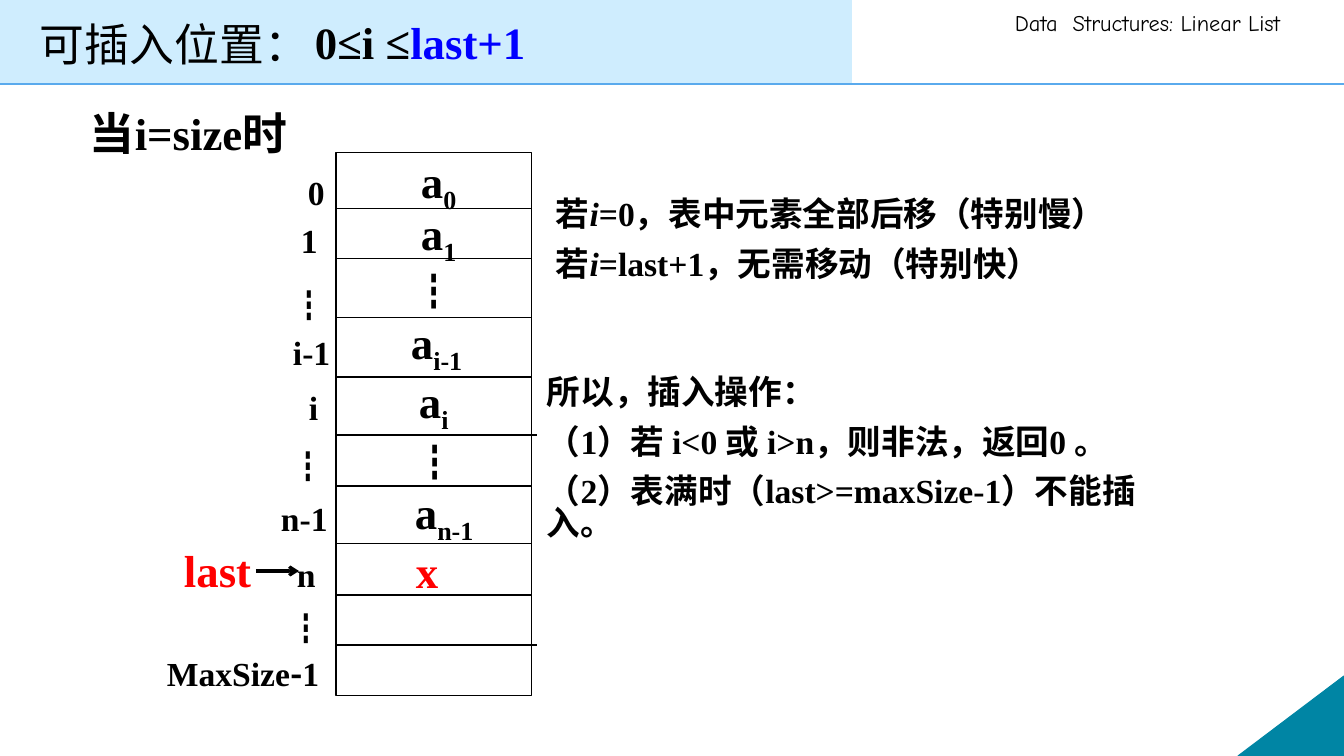
"""Slide on valid insert positions in a sequential linear list."""
from lxml import etree
from pptx import Presentation
from pptx.dml.color import RGBColor
from pptx.enum.shapes import MSO_CONNECTOR, MSO_SHAPE
from pptx.oxml.ns import qn
from pptx.util import Pt

LINE = MSO_CONNECTOR.STRAIGHT
RECT = MSO_SHAPE.RECTANGLE
TRIANGLE = MSO_SHAPE.RIGHT_TRIANGLE
PX = 9072
SERIF, CJK = "Times New Roman", "Noto Sans CJK SC"
COLORS = {"black": "000000", "red": "FF0000", "blue": "0000FF",
          "band": "CFEDFE", "rule": "5AAAED", "corner": "0085A4"}

prs = Presentation()
prs.slide_width, prs.slide_height = 1344 * PX, 756 * PX
s = prs.slides.add_slide(prs.slide_layouts[6])


def add_text(x, y, w, h, paragraphs, size, color="black", font=SERIF,
             bold=True, spacing=None, after=0):
    """Add a text box; each paragraph is a list of (text, style) runs."""
    tf = s.shapes.add_textbox(x * PX, y * PX, w * PX, h * PX).text_frame
    tf.word_wrap = True
    tf.margin_left = tf.margin_right = tf.margin_top = tf.margin_bottom = 0
    for i, runs in enumerate(paragraphs):
        p = tf.paragraphs[0] if i == 0 else tf.add_paragraph()
        p.space_after = Pt(after)
        if spacing:
            p.line_spacing = Pt(spacing)
        for text, style in runs:
            r = p.add_run()
            r.text = text
            r.font.size, r.font.bold = Pt(size), bold
            r.font.name = CJK if style == "cjk" else font
            r.font.color.rgb = RGBColor.from_string(
                COLORS["blue" if style == "blue" else color])
            if style == "italic":
                r.font.italic = True
            rPr = r.font._element
            if style == "sub":
                rPr.set("baseline", "-25000")
            etree.SubElement(rPr, qn("a:ea")).set("typeface", CJK)


def add_line(x1, y1, x2, y2, color="black", width=0.75):
    """Add a straight line and return its a:ln element."""
    c = s.shapes.add_connector(LINE, x1 * PX, y1 * PX, x2 * PX, y2 * PX)
    c.line.color.rgb = RGBColor.from_string(COLORS[color])
    c.line.width = Pt(width)
    etree.SubElement(c._element.spPr, qn("a:effectLst"))
    return c.line._get_or_add_ln()


add_line(0, 84, 1344, 84, "rule", 1)
for kind, x, y, w, h, fill, line in [
        (TRIANGLE, 1238, 676, 106, 80, "corner", "corner"),
        (RECT, -3, -7, 855, 90, "band", None),
        (RECT, 336, 153, 196, 543, None, "black")]:
    sp = s.shapes.add_shape(kind, x * PX, y * PX, w * PX, h * PX)
    sp.shadow.inherit = False
    if fill:
        sp.fill.solid()
        sp.fill.fore_color.rgb = RGBColor.from_string(COLORS[fill])
    else:
        sp.fill.background()
    if line:
        sp.line.color.rgb = RGBColor.from_string(COLORS[line])
        sp.line.width = Pt(0.75)
    else:
        sp.line.fill.background()
    if kind == TRIANGLE:
        sp._element.spPr.get_or_add_xfrm().set("flipH", "1")

for y in (209, 259, 318, 377, 435, 486, 544, 595, 645):
    add_line(336, y, 537 if y in (435, 645) else 532, y)

add_text(1015, 9, 320, 28, [[("Data  Structures: Linear List", "")]], 16,
         font="Comic Neue", bold=False)
add_text(40, 16, 275, 55, [[("可插入位置：", "")]], 32,
         font="Calibri", bold=False, spacing=39)
add_text(315, 15, 366, 52, [[("0≤i ≤", ""), ("last+1", "blue")]], 32)
add_text(90, 106, 200, 110, [[("当i=size时", "")]], 32, spacing=38.5)

for x, y, sub in [(421, 154, "0"), (421, 206, "1"), (411, 315, "i-1"),
                  (419, 374, "i"), (415, 485, "n-1")]:
    add_text(x, y, 100, 52, [[("a", ""), (sub, "sub")]], 32)
add_text(416, 544, 60, 52, [[("x", "")]], 32, "red")

for x, y, label in [(308, 172, "0"), (301, 220, "1"), (293, 332, "i-1"),
                    (309, 387, "i"), (281, 498, "n-1"), (297, 554, "n")]:
    add_text(x, y, 60, 39, [[(label, "")]], 24)
add_text(167, 654, 165, 39,
         [[("MaxSize", ""), ("-", "cjk"), ("1", "")]], 24, spacing=28)

for x, y, size in [(293, 292, 24), (292, 453, 24), (290, 615, 24),
                   (415, 275, 28), (416, 446, 28)]:
    add_text(x, y, 50, 40, [[("┇", "cjk")]], size, spacing=size)

add_text(184, 543, 80, 52, [[("last", "")]], 32, "red")
arrow = add_line(256, 571, 299, 571, width=2.25)
etree.SubElement(arrow, qn("a:tailEnd")).set("type", "arrow")

add_text(556, 201, 611, 90, [
    [("若", ""), ("i", "italic"), ("=0，表中元素全部后移（特别慢）", "")],
    [("若", ""), ("i", "italic"), ("=last+1，无需移动（特别快）", "")]],
    24, spacing=23, after=12.5)
add_text(547, 379, 610, 200, [
    [("所以，插入操作：", "")],
    [("（1）若 i<0 或 i>n，则非法，返回0 。", "")],
    [("（2）表满时（last>=maxSize-1）不能插入。", "")]],
    24, spacing=23, after=12.5)

prs.save("out.pptx")
